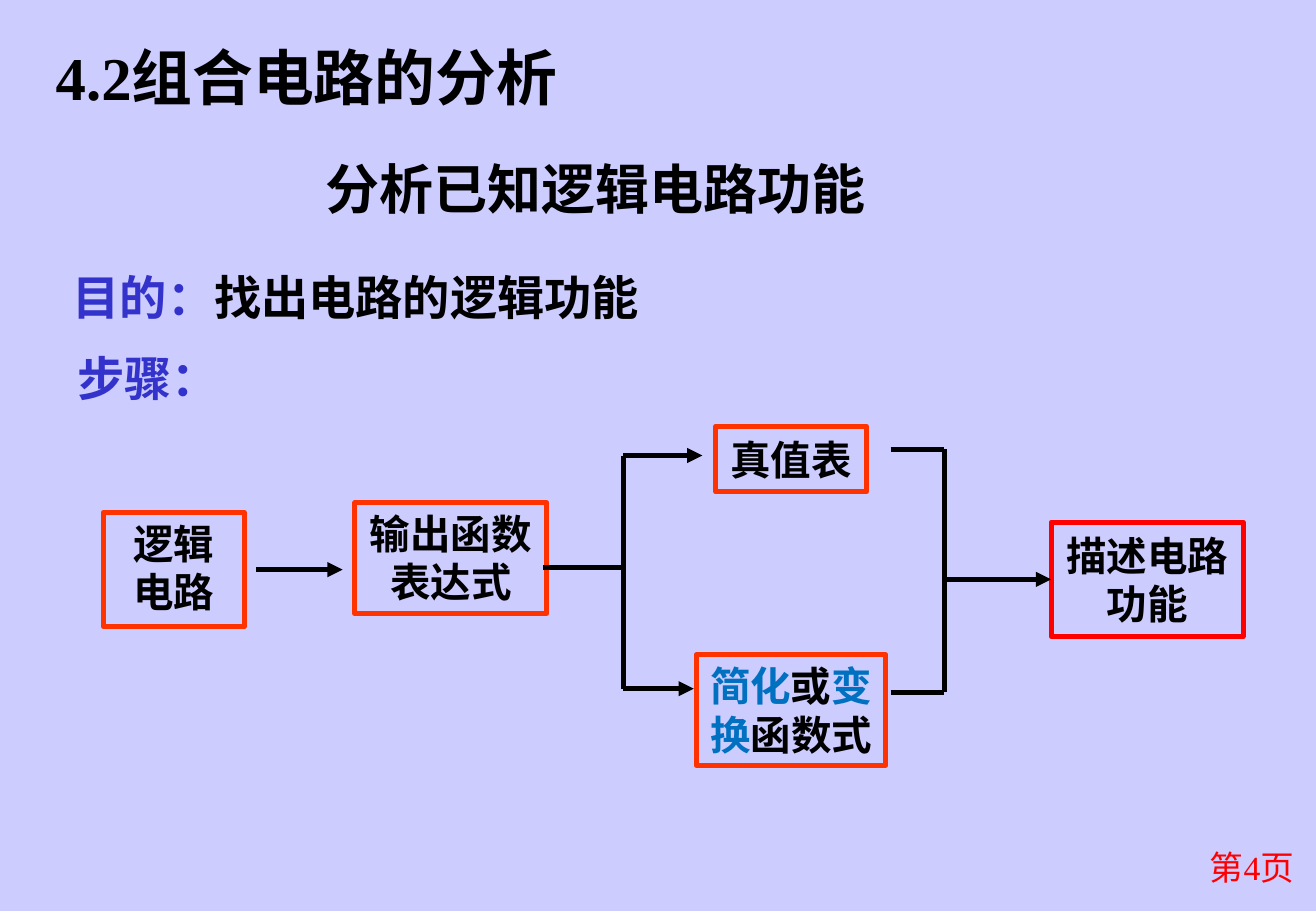
from lxml.etree import SubElement
from pptx import Presentation
from pptx.dml.color import RGBColor
from pptx.enum.shapes import MSO_CONNECTOR as Link, MSO_SHAPE as Shape
from pptx.enum.text import MSO_ANCHOR as Anchor, PP_ALIGN as Align
from pptx.oxml.ns import qn
from pptx.util import Inches, Pt

BLACK = RGBColor(0x00, 0x00, 0x00)
RED = RGBColor(0xFF, 0x00, 0x00)
ORANGE = RGBColor(0xFF, 0x33, 0x00)
INDIGO = RGBColor(0x33, 0x33, 0xCC)
BLUE = RGBColor(0x00, 0x70, 0xC0)
LILAC = RGBColor(0xCC, 0xCC, 0xFF)
LATIN, HAN = "Times New Roman", "Noto Sans CJK SC"
CELL = Inches(0.1)  # side of one grid column and row


def grid(*cells):
    return [round(n * CELL) for n in cells]


class Board:
    """Holds the slide and its style; lengths are grid columns and rows."""

    def __init__(self, deck):
        self.slide = deck.slides.add_slide(deck.slide_layouts[6])
        self.shapes = self.slide.shapes
        fill = self.slide.background.fill
        fill.solid()
        fill.fore_color.rgb = LILAC

    def letter(self, shape, lines, size, bold=True, align=Align.LEFT,
               anchor=Anchor.TOP, wrap=True):
        """Put text in a shape; each line is a list of (text, colour) runs."""
        frame = shape.text_frame
        frame.word_wrap = wrap
        frame.vertical_anchor = anchor
        for i, line in enumerate(lines):
            para = frame.add_paragraph() if i else frame.paragraphs[0]
            para.alignment = align
            for text, color in line:
                run = para.add_run()
                run.text = text
                font = run.font
                font.size, font.bold, font.name = Pt(size), bold, LATIN
                font.color.rgb = color
                SubElement(run._r.get_or_add_rPr(), qn("a:ea"), typeface=HAN)
        return shape

    def label(self, at, runs, size, **style):
        return self.letter(self.shapes.add_textbox(*grid(*at)), [runs], size, **style)

    def box(self, at, lines, edge=ORANGE, anchor=Anchor.MIDDLE, wrap=True):
        rect = self.shapes.add_shape(Shape.RECTANGLE, *grid(*at))
        rect.shadow.inherit = False
        rect.fill.background()
        rect.line.color.rgb = edge
        rect.line.width = Pt(3)
        return self.letter(rect, lines, 24, align=Align.CENTER, anchor=anchor, wrap=wrap)

    def line(self, start, end, arrow=False):
        link = self.shapes.add_connector(Link.STRAIGHT, *grid(*start, *end))
        link.line.color.rgb = BLACK
        link.line.width = Pt(3)
        props = link._element.spPr
        if arrow:
            SubElement(props.find(qn("a:ln")), qn("a:tailEnd"), type="triangle")
        SubElement(props, qn("a:effectLst"))
        return link


def main():
    deck = Presentation()
    deck.slide_width, deck.slide_height = grid(108.3, 75)
    board = Board(deck)

    board.label((84.9, 69.2, 22.6, 5), [("第4页", RED)], 20, bold=False, align=Align.RIGHT)
    board.label((3.6, 2.5, 63.2, 7.5), [("4.2组合电路的分析", BLACK)], 36,
                anchor=Anchor.MIDDLE)
    board.label((25.8, 12.3, 63.2, 6.3), [("分析已知逻辑电路功能", BLACK)], 32)
    board.label((5.4, 28.3, 13.7, 5.7), [("步骤：", INDIGO)], 28, wrap=False)
    goal = board.label((0, 21.6, 57.3, 5.7),
                       [("目的：", INDIGO), ("找出电路的逻辑功能", BLACK)], 28)
    para = goal.text_frame.paragraphs[0]
    para.space_before = Pt(5.6)
    para._p.get_or_add_pPr().set("marL", str(Inches(0.5)))

    board.box((8.5, 42.2, 11.6, 9.4), [[("逻辑电路", BLACK)]], anchor=Anchor.TOP)
    board.box((29.2, 41.4, 15.8, 9.1), [[("输出函数", BLACK)], [("表达式", BLACK)]],
              anchor=Anchor.TOP)
    board.box((58.9, 35.1, 12.4, 5.4), [[("真值表", BLACK)]], wrap=False)
    board.box((57.3, 53.9, 15.6, 9.1),
              [[("简化", BLUE), ("或", BLACK), ("变换", BLUE), ("函数式", BLACK)]])
    result = board.box((86.5, 43, 15.8, 9.4), [[("描述电路", BLACK)], [("功能", BLACK)]],
                       edge=RED, wrap=False)

    board.line((21.1, 46.9), (28.2, 46.9), arrow=True)

    fork, top, low = 51.3, 37.5, 56.7
    board.line((44.7, 46.7), (fork, 46.7))
    board.line((fork, top), (fork, low))
    for tip, row in ((57.8, top), (57.1, low)):
        board.line((fork, row), (tip, row), arrow=True)

    merge, top, low = 77.7, 37, 57
    board.line((merge, top), (merge, low))
    for row in (top, low):
        board.line((73.3, row), (merge, row))
    board.line((merge, 47.7), (86.5, 47.7), arrow=True).end_connect(result, 1)

    deck.save("out.pptx")


if __name__ == "__main__":
    main()
